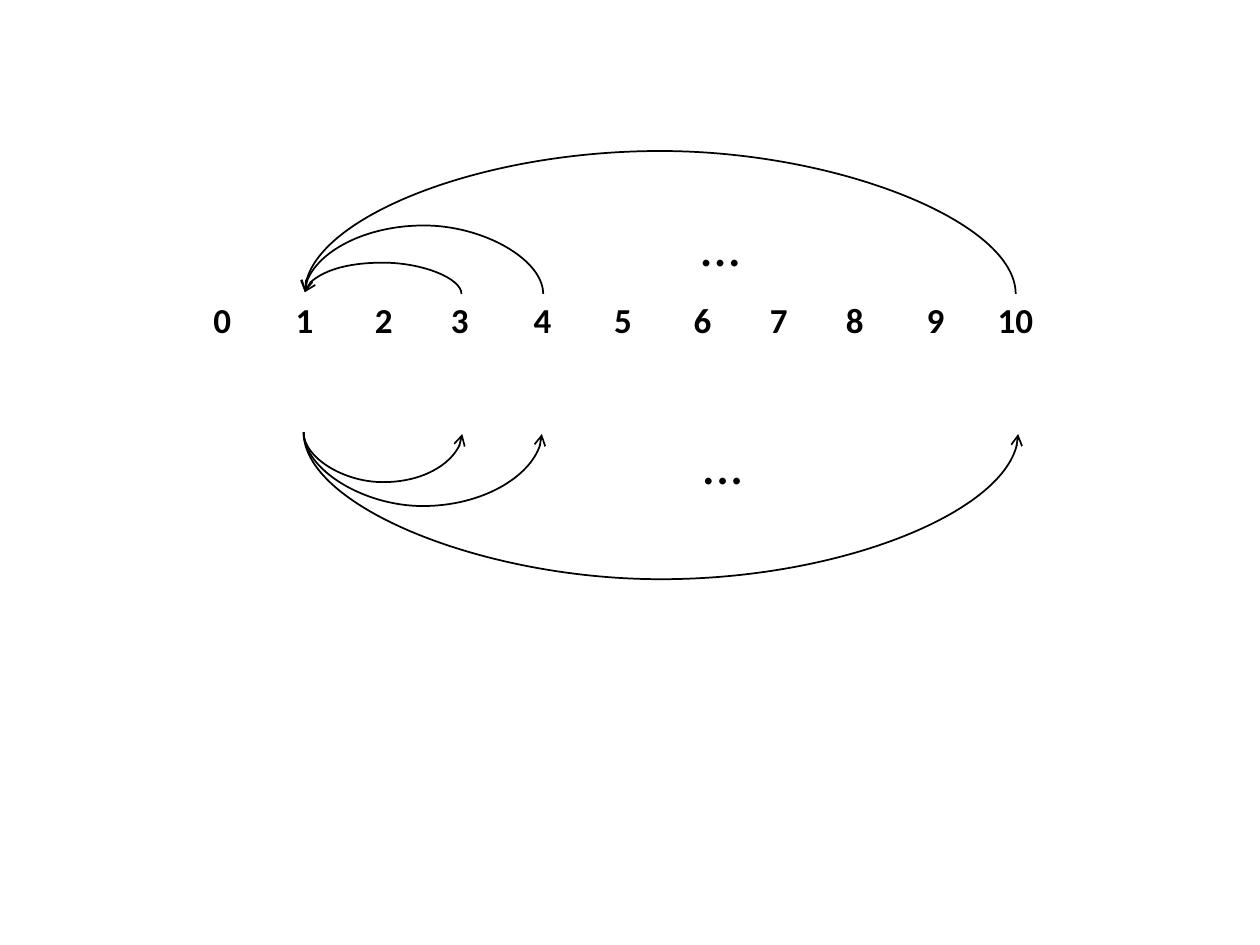
import pptx
import pptx.util
import pptx.dml.color
import pptx.enum.shapes
import pptx.enum.text
import pptx.oxml
import pptx.oxml.ns
import pptx.oxml.xmlchemy

Pt = pptx.util.Pt
BLACK = pptx.dml.color.RGBColor(0, 0, 0)
CENTRES = [127, 174, 219.3, 262.8, 310, 356, 401.4, 445, 488.5, 534.6, 580.3]
ARCS_IN = [(263.7, 18), (310.4, 39.45), (580.4, 82.34)]
ARCS_OUT = [(264.2, 28.72), (309.6, 42.51), (581.8, 84.64)]


def add_text(s, text, x, y, w, h, size=20, bold=False, align="LEFT"):
    """Add a text box with one formatted run."""
    tf = s.shapes.add_textbox(Pt(x), Pt(y), Pt(w), Pt(h)).text_frame
    tf.word_wrap = True
    tf.auto_size = pptx.enum.text.MSO_AUTO_SIZE.SHAPE_TO_FIT_TEXT
    p = tf.paragraphs[0]
    p.alignment = pptx.enum.text.PP_ALIGN[align]
    r = p.add_run()
    r.text = text
    r.font.name = "Calibri"
    r.font.size = Pt(size)
    r.font.bold = bold
    r.font.color.rgb = BLACK


def add_arc(s, x1, x2, y, depth):
    """Add a curved arrow from x1 to x2, above when leftward and below when rightward."""
    cx, span = (x1 + x2) / 2, x2 - x1
    half = 0.5 if span > 0 else -0.5
    c = s.shapes.add_connector(
        pptx.enum.shapes.MSO_CONNECTOR.CURVE,
        Pt(cx + half), Pt(y - span / 2), Pt(cx - half), Pt(y + span / 2))
    c.line.color.rgb = BLACK
    c.line.width = Pt(1)
    sp = c._element.spPr
    sp.find(pptx.oxml.ns.qn("a:xfrm")).set("rot", str(270 * 60000))
    guides = sp.find(pptx.oxml.ns.qn("a:prstGeom")).get_or_add_avLst()
    gd = pptx.oxml.xmlchemy.OxmlElement("a:gd")
    gd.set("name", "adj1")
    gd.set("fmla", f"val {round(depth * 100000)}")
    guides.append(gd)
    head = pptx.oxml.xmlchemy.OxmlElement("a:tailEnd")
    head.set("type", "arrow")
    c.line._get_or_add_ln().append(head)
    sp.append(pptx.oxml.xmlchemy.OxmlElement("a:effectLst"))


def main():
    """Build the number row with its incoming and outgoing arcs."""
    prs = pptx.Presentation()
    prs.slide_width, prs.slide_height = Pt(720), Pt(540)
    s = prs.slides.add_slide(prs.slide_layouts[6])
    for n, x in enumerate(CENTRES):
        w = 43 if n == 10 else 36
        add_text(s, str(n), x - w / 2, 167, w, 31.5, bold=True, align="CENTER")
    for x, depth in ARCS_IN:
        add_arc(s, x, 174.2, 167.5, depth)
    for x, depth in ARCS_OUT:
        add_arc(s, 173.5, x, 247.5, depth)
    for x, y in [(392.4, 116.6), (393.8, 241.2)]:
        add_text(s, "...", x, y, 41, 46, size=32)
    prs.save("out.pptx")


if __name__ == "__main__":
    main()
